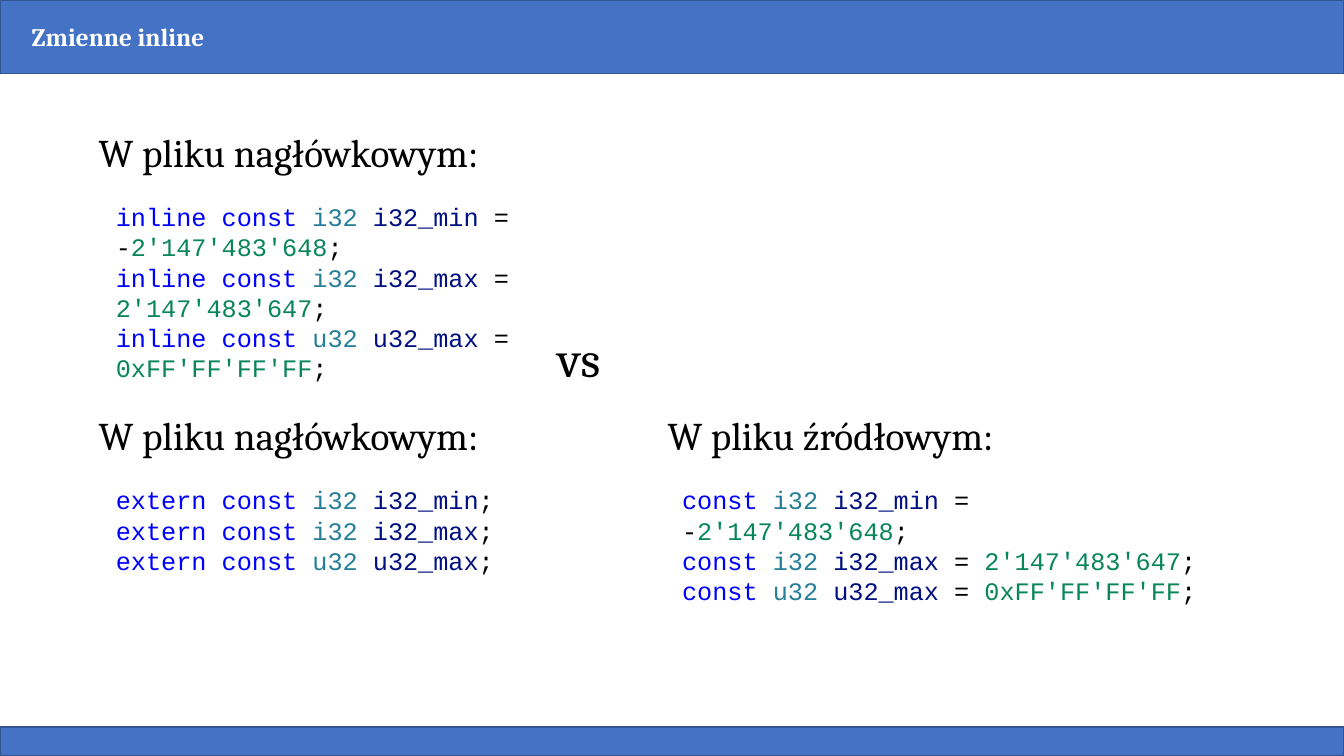
import pptx
import pptx.dml.color
import pptx.enum.shapes
import pptx.enum.text
import pptx.util
from pptx.util import Cm

THEME = {
    "bar": "4472C4",
    "bar_edge": "325491",
    "title": "FFFFFF",
    "text": "000000",
    "keyword": "0000FF",
    "type": "267F99",
    "variable": "001080",
    "number": "098658",
    "prose_font": "Cambria",
    "code_font": "Courier New",
    "body_size": 18,
    "heading_size": 28,
    "versus_size": 36,
}


def style(font, face, size, color, bold=False):
    font.name = THEME[face]
    font.size = pptx.util.Pt(THEME[size])
    font.color.rgb = pptx.dml.color.RGBColor.from_string(THEME[color])
    font.bold = bold


def add_text_area(left, top, width, height):
    area = slide.shapes.add_textbox(Cm(left), Cm(top), Cm(width), Cm(height))
    area.text_frame.word_wrap = True
    return area.text_frame


deck = pptx.Presentation()
deck.slide_width = Cm(33.87)
deck.slide_height = Cm(19.05)
slide = deck.slides.add_slide(deck.slide_layouts[6])

for top, height, title in [(18.32, 0.73, ""), (0, 1.86, "Zmienne inline")]:
    bar = slide.shapes.add_shape(
        pptx.enum.shapes.MSO_SHAPE.RECTANGLE, 0, Cm(top), deck.slide_width, Cm(height)
    )
    bar.shadow.inherit = False
    bar.fill.solid()
    bar.fill.fore_color.rgb = pptx.dml.color.RGBColor.from_string(THEME["bar"])
    bar.line.color.rgb = pptx.dml.color.RGBColor.from_string(THEME["bar_edge"])
    bar.line.width = pptx.util.Pt(1)
    if title:
        bar.text_frame.margin_left = Cm(0.8)
        bar.text_frame.vertical_anchor = pptx.enum.text.MSO_ANCHOR.MIDDLE
        heading = bar.text_frame.paragraphs[0]
        heading.text = title
        heading.alignment = pptx.enum.text.PP_ALIGN.LEFT
        style(heading.runs[0].font, "prose_font", "body_size", "title", bold=True)

labels = [
    ("W pliku nagłówkowym:", 0.69, 3.1, 13.16, 1.45, "heading_size"),
    ("W pliku nagłówkowym:", 0.69, 10.24, 13.16, 1.45, "heading_size"),
    ("W pliku źródłowym:", 14.35, 10.24, 13.16, 1.45, "heading_size"),
    ("vs", 13.08, 8.13, 3.02, 1.8, "versus_size"),
]
for wording, left, top, width, height, size in labels:
    label = add_text_area(left, top, width, height).paragraphs[0]
    label.text = wording
    label.alignment = pptx.enum.text.PP_ALIGN.CENTER
    style(label.runs[0].font, "prose_font", size, "text")

constants = [
    ("i32", "i32_min", "-", "2'147'483'648", ";"),
    ("i32", "i32_max", "", "2'147'483'647", ";"),
    ("u32", "u32_max", "", "0xFF'FF'FF'FF", "; "),
]
listings = [
    ("inline const ", True, 2.67, 4.95, 15.9),
    ("const ", True, 16.94, 12.09, 13.61),
    ("extern const ", False, 2.67, 12.09, 11.02),
]
for keywords, has_value, left, top, width in listings:
    code = add_text_area(left, top, width, 2.57)
    for row, (kind, variable, sign, number, ending) in enumerate(constants):
        statement = code.add_paragraph() if row else code.paragraphs[0]
        tokens = [(keywords, "keyword"), (kind + " ", "type"), (variable, "variable")]
        if has_value:
            tokens += [(" = " + sign, "text"), (number, "number"), (ending, "text")]
        else:
            tokens += [(";", "text")]
        for token, color in tokens:
            piece = statement.add_run()
            piece.text = token
            style(piece.font, "code_font", "body_size", color)

deck.save("out.pptx")
